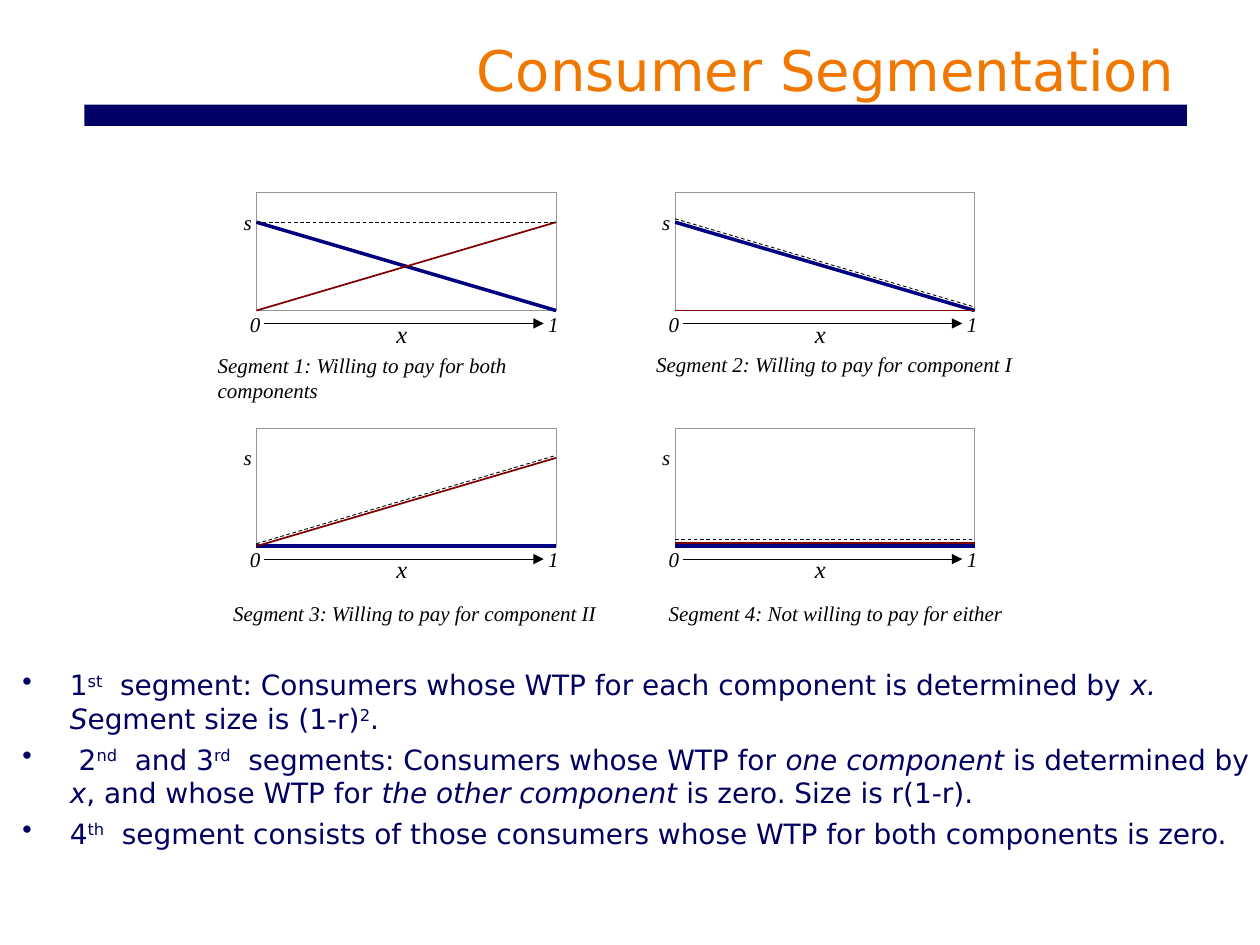
from lxml.etree import SubElement
from pptx import Presentation
from pptx.dml.color import RGBColor
from pptx.enum.dml import MSO_LINE_DASH_STYLE as Dash
from pptx.enum.shapes import MSO_CONNECTOR as Connector, MSO_SHAPE as Shape
from pptx.enum.text import MSO_ANCHOR as Anchor, PP_ALIGN as Align
from pptx.oxml.ns import qn
from pptx.util import Cm, Pt

SERIF, SANS = "Times New Roman", "DejaVu Sans"
BLACK, NAVY, TEXT_BLUE, ORANGE = "000000", "000066", "000060", "F07800"
COMPONENT_1, COMPONENT_2, FRAME_GREY = "000080", "800000", "969696"

PANEL_W, PANEL_H = 6.04, 2.37
COLUMNS, ROWS = (5.17, 13.61), (3.89, 8.64)
S = 1.78  # height of the level s above the x axis

# Heights at x = 0 and x = 1: component I, component II, sum of both
SEGMENT_CURVES = [
    ((S, 0), (0, S), (S, S)),
    ((S, 0), (0, 0), (S + 0.07, 0.07)),
    ((0, 0), (0, S), (0.05, S + 0.05)),
    ((0, 0), (0.07, 0.07), (0.13, 0.13)),
]
# Label, offset from the panel's corner, size of box, font size
AXIS_LABELS = [
    ("0", -0.38, 2.26, 0.71, 0.76, 12),
    ("1", 5.63, 2.26, 0.71, 0.76, 12),
    ("x", 2.57, 2.41, 0.71, 0.86, 14),
    ("s", -0.51, 0.2, 0.66, 0.76, 12),
]
CAPTIONS = [
    ("Segment 1: Willing to pay for both components", 4.14, 6.98, 8.08, 1.27, True),
    ("Segment 2: Willing to pay for component I", 12.98, 6.96, 7.72, 0.76, False),
    ("Segment 3: Willing to pay for component II", 4.45, 11.99, 7.85, 0.76, False),
    ("Segment 4: Not willing to pay for either", 13.23, 11.99, 7.24, 0.76, False),
]
# Runs are (text, style): "" plain, "i" italic, "sup" superscript
BULLETS = [
    [("1", ""), ("st", "sup"),
     ("  segment: Consumers whose WTP for each component is determined by ", ""),
     ("x. S", "i"), ("egment size is (1-r)", ""), ("2", "sup"), (".", "")],
    [(" 2", ""), ("nd", "sup"), ("  and 3", ""), ("rd", "sup"),
     ("  segments: Consumers whose WTP for ", ""), ("one component", "i"),
     (" is determined by ", ""), ("x", "i"), (", and whose WTP for ", ""),
     ("the other component", "i"), (" is zero. Size is r(1-r).", "")],
    [("4", ""), ("th", "sup"),
     ("  segment consists of those consumers whose WTP for both components is zero.", "")],
]


def rgb(value):
    return RGBColor.from_string(value)


def set_font(paragraph, name, size, color, italic=None):
    font = paragraph.font
    font.name, font.size, font.italic = name, Pt(size), italic
    font.color.rgb = rgb(color)


def add_rect(slide, left, top, width, height, fill=None, line=None):
    rect = slide.shapes.add_shape(Shape.RECTANGLE, Cm(left), Cm(top), Cm(width), Cm(height))
    rect.shadow.inherit = False
    if fill:
        rect.fill.solid()
        rect.fill.fore_color.rgb = rgb(fill)
    else:
        rect.fill.background()
    if line:
        rect.line.color.rgb = rgb(line)
        rect.line.width = Pt(0.5)
    else:
        rect.line.fill.background()


def add_line(slide, x1, y1, x2, y2, color=BLACK, width=0.5, dashed=False, arrow=False):
    line = slide.shapes.add_connector(Connector.STRAIGHT, Cm(x1), Cm(y1), Cm(x2), Cm(y2))
    line.line.color.rgb = rgb(color)
    line.line.width = Pt(width)
    if dashed:
        line.line.dash_style = Dash.DASH
    if arrow:
        SubElement(line.line._get_or_add_ln(), qn("a:tailEnd"), type="triangle")
    SubElement(line._element.spPr, qn("a:effectLst"))


def add_frame(slide, left, top, width, height, wrap=True):
    box = slide.shapes.add_textbox(Cm(left), Cm(top), Cm(width), Cm(height))
    box.text_frame.word_wrap = wrap
    return box.text_frame


def add_label(slide, text, left, top, width, height, size=12, wrap=False):
    paragraph = add_frame(slide, left, top, width, height, wrap).paragraphs[0]
    paragraph.text = text
    set_font(paragraph, SERIF, size, BLACK, italic=True)


def add_panel(slide, left, top, curves):
    """Draw one segment's frame, willingness-to-pay lines and x axis."""
    add_rect(slide, left, top, PANEL_W, PANEL_H, line=FRAME_GREY)
    styles = ((COMPONENT_1, 2, False), (COMPONENT_2, 1, False), (BLACK, 0.5, True))
    base = top + PANEL_H
    for (start, end), style in zip(curves, styles):
        add_line(slide, left, base - start, left + PANEL_W, base - end, *style)
    axis = top + 2.63
    add_line(slide, left + 0.15, axis, left + 5.79, axis, arrow=True)
    for text, dx, dy, width, height, size in AXIS_LABELS:
        add_label(slide, text, left + dx, top + dy, width, height, size)


def add_title(slide, text):
    frame = add_frame(slide, 0, -0.2, 23.93, 3.18)
    frame.vertical_anchor = Anchor.MIDDLE
    paragraph = frame.paragraphs[0]
    paragraph.text = text
    paragraph.alignment = Align.RIGHT
    set_font(paragraph, SANS, 32, ORANGE)


def add_bullet(paragraph, runs):
    properties = paragraph._p.get_or_add_pPr()
    properties.set("marL", str(Cm(0.96)))
    properties.set("indent", str(Cm(-0.96)))
    color = SubElement(properties, qn("a:buClr"))
    SubElement(color, qn("a:srgbClr"), val=TEXT_BLUE)
    SubElement(properties, qn("a:buChar"), char="•")
    set_font(paragraph, SANS, 16, TEXT_BLUE)
    for text, style in runs:
        run = paragraph.add_run()
        run.text = text
        if style == "i":
            run.font.italic = True
        elif style == "sup":
            run._r.get_or_add_rPr().set("baseline", "30000")


def add_bullets(slide):
    frame = add_frame(slide, 0.2, 13.34, 25.4, 3.91)
    for index, runs in enumerate(BULLETS):
        paragraph = frame.add_paragraph() if index else frame.paragraphs[0]
        add_bullet(paragraph, runs)
        if index:
            paragraph.space_before = Pt(4)


def main():
    deck = Presentation()
    deck.slide_width, deck.slide_height = Cm(25.4), Cm(19.05)
    slide = deck.slides.add_slide(deck.slide_layouts[6])
    add_rect(slide, 1.7, 2.11, 22.23, 0.43, fill=NAVY)
    for index, curves in enumerate(SEGMENT_CURVES):
        row, column = divmod(index, 2)
        add_panel(slide, COLUMNS[column], ROWS[row], curves)
    for text, left, top, width, height, wrap in CAPTIONS:
        add_label(slide, text, left, top, width, height, wrap=wrap)
    add_title(slide, "Consumer Segmentation")
    add_bullets(slide)
    deck.save("out.pptx")


if __name__ == "__main__":
    main()
